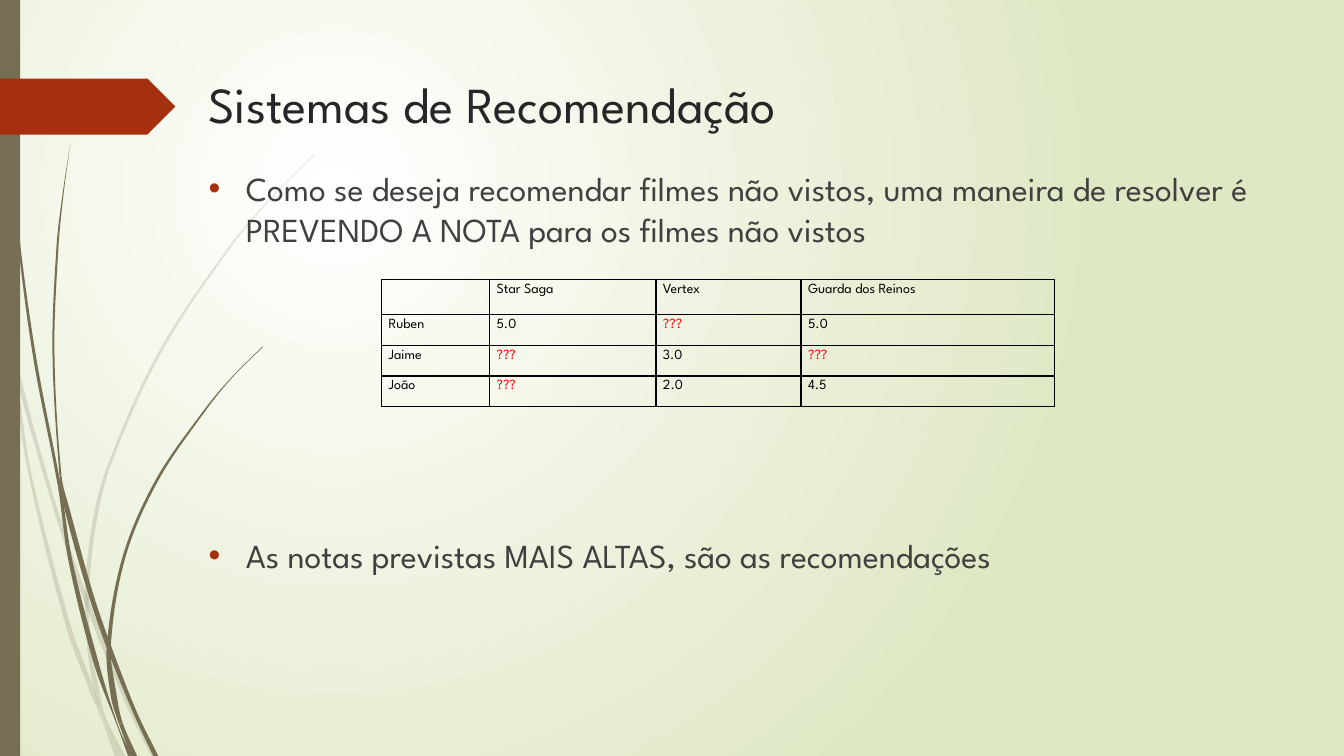
from lxml import etree
from pptx import Presentation
from pptx.dml.color import RGBColor
from pptx.enum.shapes import MSO_SHAPE
from pptx.oxml.ns import qn
from pptx.util import Inches, Pt

RECTANGLE, PENTAGON = MSO_SHAPE.RECTANGLE, MSO_SHAPE.PENTAGON
WIDTH, HEIGHT = Inches(13.33), Inches(7.5)
FONT = "League Spartan"
OLIVE, RUST, RED, BLACK = "766F54", "A53010", "FF0000", "000000"
UNKNOWN = "???"

RATINGS = [
    ["", "Star Saga", "Vertex", "Guarda dos Reinos"],
    ["Ruben", "5.0", UNKNOWN, "5.0"],
    ["Jaime", UNKNOWN, "3.0", UNKNOWN],
    ["João", UNKNOWN, "2.0", "4.5"],
]
COLUMN_SHARES = [8.03, 12.38, 10.8, 18.83]
ROW_SHARES = [4.6, 4.07, 4.07, 4.07]

# Each blade of grass has its sections' joints (heights) and its rows
# (height, left edge, right edge), in inches.
PALE_BLADES = [
    ([3.5, 7.14], [
        (2.82, 0, 0), (2.99, 0, .04), (3.22, .05, .09), (3.5, .11, .12), (3.76, .14, .17),
        (4.69, .28, .31), (6.2, .65, .7), (6.83, .88, .93), (7.14, 1.01, 1.02), (7.5, 1.14, 1.19)]),
    ([5.98], [
        (3.45, .14, .14), (3.76, .17, .21), (4.33, .32, .36), (5.21, .58, .62),
        (5.98, .84, .89), (6.92, 1.22, 1.27), (7.5, 1.5, 1.55)]),
    ([5.95, 7.12], [
        (1.53, 3.11, 3.12), (1.97, 2.68, 2.69), (2.45, 2.27, 2.29), (3.48, 1.58, 1.61),
        (4.61, 1.07, 1.1), (5.22, .91, .95), (5.95, .84, .88), (6.46, .87, .91),
        (6.83, .93, .98), (7.12, 1.02, 1.05), (7.5, 1.19, 1.24)]),
]
DARK_BLADES = [
    ([4.8, 7.22], [
        (0, .03, .04), (1.1, .07, .08), (2.33, .17, .19), (3.55, .33, .36), (4.8, .57, .6),
        (5.57, .68, .72), (6.58, .93, .98), (7.22, 1.17, 1.18), (7.5, 1.27, 1.31)]),
    ([4.72, 6.43], [
        (1.41, .7, .7), (1.93, .62, .63), (2.45, .56, .58), (3.49, .52, .54), (4.72, .59, .61),
        (5.05, .64, .69), (5.91, .88, .93), (6.43, 1.06, 1.11), (7.07, 1.32, 1.36),
        (7.5, 1.52, 1.57)]),
    ([6.4, 7.18], [
        (3.44, 2.6, 2.61), (3.74, 2.3, 2.31), (4.06, 2.03, 2.05), (4.75, 1.55, 1.58),
        (5.51, 1.22, 1.25), (6.4, 1.06, 1.1), (6.91, 1.1, 1.16), (7.18, 1.18, 1.22),
        (7.5, 1.3, 1.36)]),
]


def color(hex_code):
    """Turn a hex string into a colour."""
    return RGBColor.from_string(hex_code)


def across(percent):
    """Length as a percentage of the slide's width."""
    return round(WIDTH * percent / 100)


def down(percent):
    """Length as a percentage of the slide's height."""
    return round(HEIGHT * percent / 100)


def area(left, top, width, height):
    """Rectangle given in percentages of the slide."""
    return across(left), down(top), across(width), down(height)


def child(parent, tag, **attributes):
    """Append an XML element with the given attributes."""
    return etree.SubElement(parent, qn(tag), attributes)


def paint(shape, hex_code, opacity=100):
    """Give a shape a plain fill without outline or shadow."""
    shape.shadow.inherit = False
    shape.line.fill.background()
    shape.fill.solid()
    shape.fill.fore_color.rgb = color(hex_code)
    if opacity < 100:
        tint = next(shape._element.spPr.iter(qn("a:srgbClr")))
        child(tint, "a:alpha", val=str(opacity * 1000))


def write(paragraph, text, size, ink, before=0, bullet=None):
    """Write formatted text into a paragraph, with an optional bullet colour."""
    run = paragraph.add_run()
    run.text = text
    run.font.name, run.font.size = FONT, Pt(size)
    run.font.color.rgb = color(ink)
    paragraph.space_before = Pt(before)
    if bullet:
        properties = paragraph._p.get_or_add_pPr()
        properties.set("marL", str(Inches(.37)))
        properties.set("indent", str(-Inches(.37)))
        child(child(properties, "a:buClr"), "a:srgbClr", val=bullet)
        child(properties, "a:buFont", typeface="Arial")
        child(properties, "a:buChar", char="•")


def add_text_area(slide, place):
    """Add a wrapping text box and return its frame."""
    frame = slide.shapes.add_textbox(*place).text_frame
    frame.word_wrap = True
    return frame


def edge_knots(heights, edge):
    """Give each point of an edge its slope: (x, y, dx/dy)."""
    last = len(edge) - 1
    spans = [(max(i - 1, 0), min(i + 1, last)) for i in range(last + 1)]
    return [(x, y, (edge[b] - edge[a]) / (heights[b] - heights[a]))
            for x, y, (a, b) in zip(edge, heights, spans)]


def add_section(slide, left, right, opacity):
    """Draw part of a blade between two edges of cubic curves."""
    knots = left + right[::-1]
    corners = [(Inches(x), Inches(y)) for x, y, _ in knots]
    builder = slide.shapes.build_freeform(*corners[0])
    builder.add_line_segments(corners[1:], close=True)
    section = builder.convert_to_shape()
    paint(section, OLIVE, opacity)
    lines = list(section._element.iter(qn("a:lnTo")))
    for line, (x0, y0, slope0), (x1, y1, slope1) in zip(lines, knots, knots[1:]):
        third = (y1 - y0) / 3
        if third:
            line.tag = qn("a:cubicBezTo")
            handles = [(x0 + slope0 * third, y0 + third), (x1 - slope1 * third, y1 - third)]
            for position, (x, y) in enumerate(handles):
                handle = child(line, "a:pt", x=str(Inches(x) - section.left),
                               y=str(Inches(y) - section.top))
                line.insert(position, handle)


def add_blade(slide, joints, rows, opacity=100):
    """Draw one blade of grass, section by section."""
    heights, *edges = zip(*rows)
    left, right = [edge_knots(heights, edge) for edge in edges]
    stops = [0, *map(heights.index, joints), len(rows) - 1]
    for start, end in zip(stops, stops[1:]):
        add_section(slide, left[start:end + 1], right[start:end + 1], opacity)


def set_background(slide):
    """Fill the background with a white to green radial gradient."""
    fill = slide.background.fill
    fill.gradient()
    for stop, tone in zip(fill.gradient_stops, ["FFFFFF", "DFE8C4"]):
        stop.color.rgb = color(tone)
    linear = next(slide.element.iter(qn("a:lin")))
    gradient = linear.getparent()
    gradient.remove(linear)
    radial = child(gradient, "a:path", path="circle")
    child(radial, "a:fillToRect", l="50000", t="50000", r="100000", b="100000")


def add_ratings(slide, left, top):
    """Add the table of film ratings, with unknown ones in red."""
    place = area(left, top, sum(COLUMN_SHARES), sum(ROW_SHARES))
    table = slide.shapes.add_table(len(RATINGS), len(RATINGS[0]), *place).table
    table.first_row = table.horz_banding = False
    for column, share in zip(table.columns, COLUMN_SHARES):
        column.width = across(share)
    for row, share, ratings in zip(table.rows, ROW_SHARES, RATINGS):
        row.height = down(share)
        for cell, rating in zip(row.cells, ratings):
            cell.margin_left = cell.margin_right = Inches(.07)
            cell.margin_top = cell.margin_bottom = Inches(.04)
            cell.fill.background()
            properties = cell._tc.get_or_add_tcPr()
            for position, side in enumerate("LRTB"):
                border = child(properties, "a:ln" + side, w=str(Pt(1)))
                child(child(border, "a:solidFill"), "a:srgbClr", val=BLACK)
                properties.insert(position, border)
            line = cell.text_frame.paragraphs[0]
            if rating:
                write(line, rating, size=10, ink=RED if rating == UNKNOWN else BLACK)
            else:
                child(line._p, "a:endParaRPr", sz="1000")


def main():
    """Build the slide and save it."""
    deck = Presentation()
    deck.slide_width, deck.slide_height = WIDTH, HEIGHT
    slide = deck.slides.add_slide(deck.slide_layouts[6])
    set_background(slide)
    for blades, opacity in [(PALE_BLADES, 20), (DARK_BLADES, 100)]:
        for joints, rows in blades:
            add_blade(slide, joints, rows, opacity)
    for kind, place, tone in [(RECTANGLE, area(0, 0, 1.5, 100), OLIVE),
                              (PENTAGON, area(0, 10.4, 13.05, 7.4), RUST)]:
        paint(slide.shapes.add_shape(kind, *place), tone)
    title = add_text_area(slide, area(14.78, 9.07, 79.6, 10.4))
    write(title.paragraphs[0], "Sistemas de Recomendação", size=36, ink="262626")
    body = add_text_area(slide, area(14.78, 21.6, 79.6, 64.67))
    bullet_format = {"size": 24, "ink": "404040", "bullet": RUST}
    write(body.paragraphs[0], "Como se deseja recomendar filmes não vistos, uma maneira de "
          "resolver é PREVENDO A NOTA para os filmes não vistos", before=10, **bullet_format)
    write(body.add_paragraph(), "As notas previstas MAIS ALTAS, são as recomendações",
          before=204, **bullet_format)
    add_ratings(slide, 28.4, 37)
    deck.save("out.pptx")


main()
